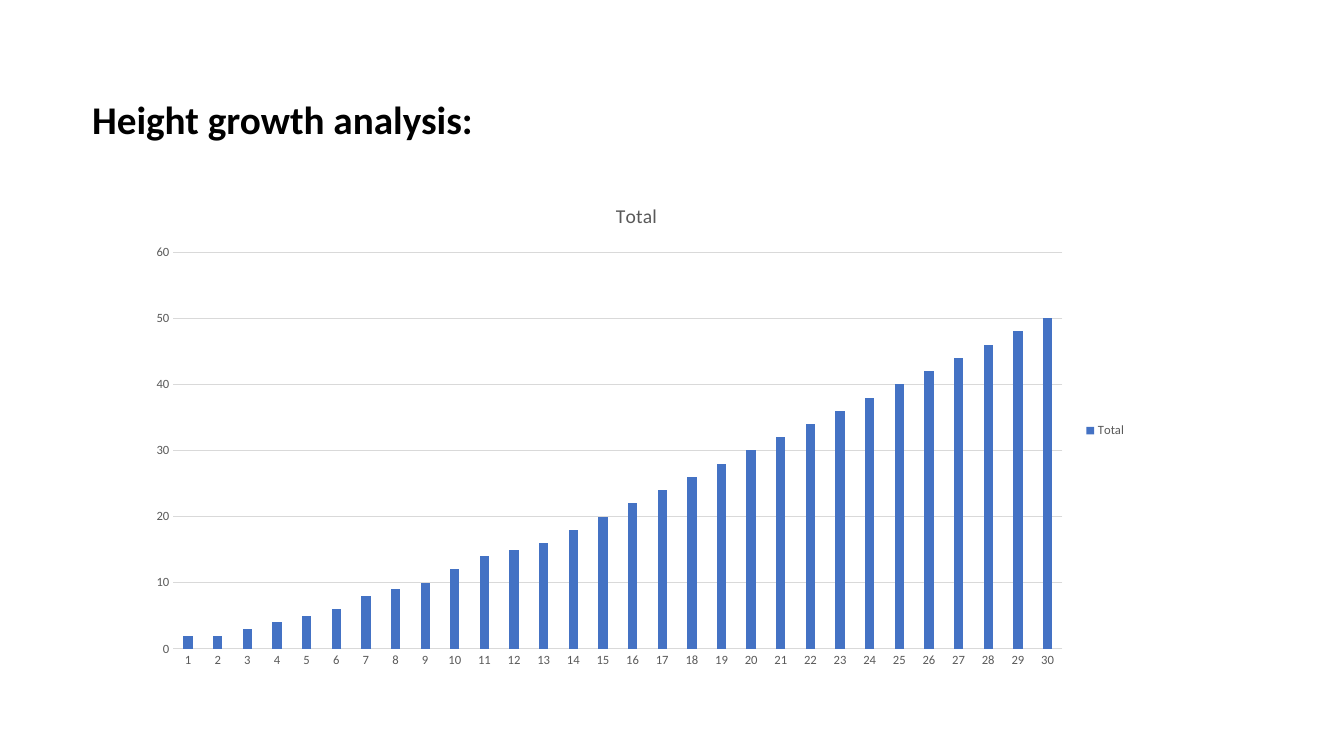
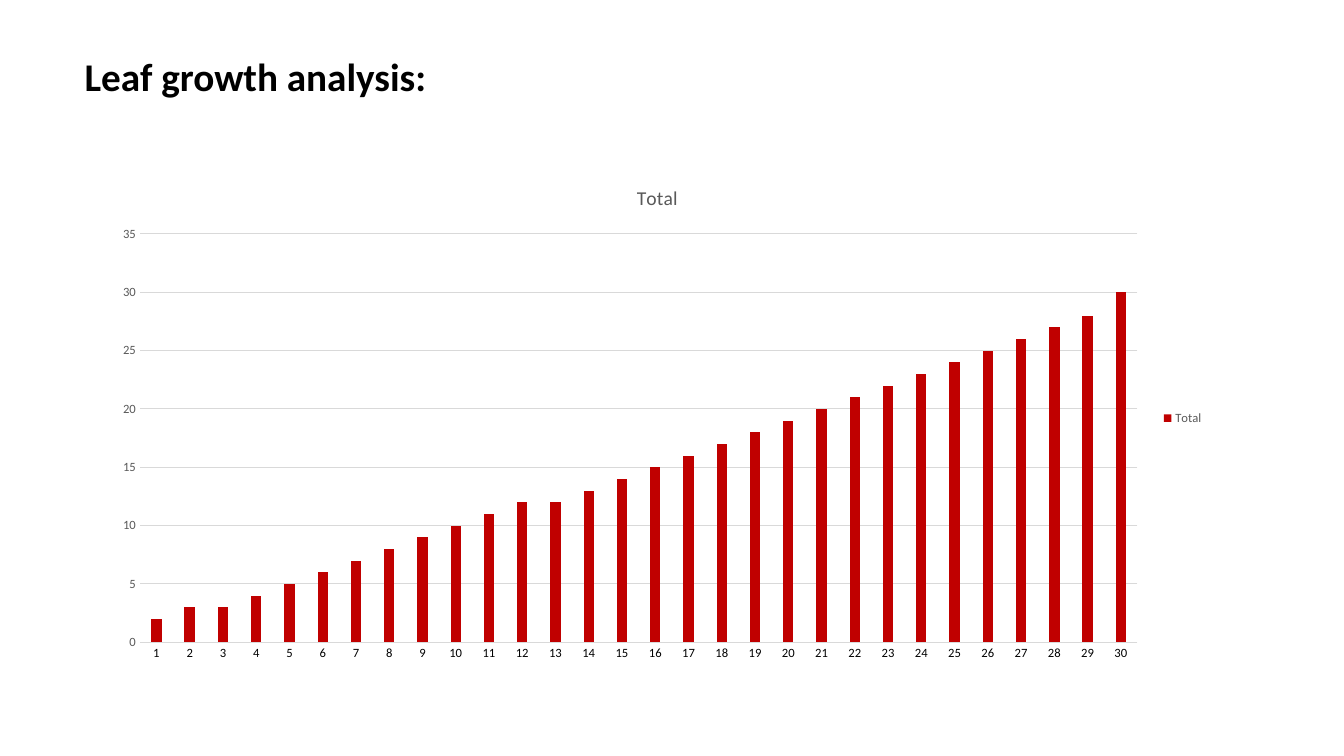
"""Build two slides that chart the daily growth of a plant."""
from dataclasses import dataclass

from pptx import Presentation
from pptx.chart.axis import _BaseAxis
from pptx.chart.chart import Chart
from pptx.chart.data import CategoryChartData
from pptx.dml.color import RGBColor
from pptx.enum.chart import XL_CHART_TYPE, XL_LEGEND_POSITION, XL_TICK_MARK
from pptx.enum.text import MSO_ANCHOR, MSO_AUTO_SIZE, PP_ALIGN
from pptx.slide import Slide
from pptx.text.text import Font
from pptx.util import Cm, Pt

COLUMNS = XL_CHART_TYPE.COLUMN_CLUSTERED
LEGEND_RIGHT = XL_LEGEND_POSITION.RIGHT
NO_TICKS = XL_TICK_MARK.NONE
ANCHOR_TOP = MSO_ANCHOR.TOP
GROW_SHAPE = MSO_AUTO_SIZE.SHAPE_TO_FIT_TEXT
ALIGN_LEFT = PP_ALIGN.LEFT
TITLE_ONLY = 5
SERIES_NAME = "Total"


@dataclass(frozen=True)
class Theme:
    """Colours, font and type sizes of the deck."""

    font: str = "Calibri"
    black: str = "000000"
    grey: str = "595959"
    rule: str = "D9D9D9"
    blue: str = "4472C4"
    red: str = "C00000"
    heading_size: float = 28
    chart_title_size: float = 14
    chart_size: float = 10
    label_size: float = 9
    rule_width: float = 0.75


@dataclass(frozen=True)
class Frame:
    """Position and size in centimetres."""

    left: float
    top: float
    width: float
    height: float

    def lengths(self) -> tuple[Cm, Cm, Cm, Cm]:
        """Return the frame as slide lengths."""
        return Cm(self.left), Cm(self.top), Cm(self.width), Cm(self.height)


@dataclass(frozen=True)
class GrowthSlide:
    """Content of one growth slide."""

    heading: str
    heading_frame: Frame
    chart_frame: Frame
    values: tuple[int, ...]
    axis_top: int
    axis_step: int
    bar_color: str
    day_color: str


THEME = Theme()
GROWTH_SLIDES = (
    GrowthSlide(
        heading="Height growth analysis:",
        heading_frame=Frame(2.07, 2.18, 16.94, 3.05),
        chart_frame=Frame(3.44, 4.63, 25.2, 12.44),
        values=(2, 2, 3, 4, 5, 6, 8, 9, 10, 12, 14, 15, 16, 18,
                *range(20, 51, 2)),
        axis_top=60,
        axis_step=10,
        bar_color=THEME.blue,
        day_color=THEME.grey,
    ),
    GrowthSlide(
        heading="Leaf growth analysis:",
        heading_frame=Frame(1.88, 1.12, 16.94, 3.05),
        chart_frame=Frame(2.54, 4.16, 28.05, 12.75),
        values=(2, 3, *range(3, 13), *range(12, 29), 30),
        axis_top=35,
        axis_step=5,
        bar_color=THEME.red,
        day_color=THEME.black,
    ),
)


def style_font(font: Font, size: float, color: str, bold: bool = False) -> None:
    """Apply the deck font with a size, colour and weight."""
    font.name = THEME.font
    font.size = Pt(size)
    font.bold = bold
    font.color.rgb = RGBColor.from_string(color)


def add_heading(slide: Slide, content: GrowthSlide) -> None:
    """Place and fill the title placeholder."""
    box = slide.shapes.title
    box.left, box.top, box.width, box.height = content.heading_frame.lengths()
    frame = box.text_frame
    frame.word_wrap = True
    frame.auto_size = GROW_SHAPE
    frame.vertical_anchor = ANCHOR_TOP
    para = frame.paragraphs[0]
    para.alignment = ALIGN_LEFT
    para.line_spacing = 1.07
    para.space_before = Pt(0)
    para.space_after = Pt(8)
    span = para.add_run()
    span.text = content.heading
    style_font(span.font, THEME.heading_size, THEME.black, bold=True)


def style_axis(axis: _BaseAxis, label_color: str) -> None:
    """Remove the tick marks and format the axis labels."""
    axis.major_tick_mark = NO_TICKS
    axis.minor_tick_mark = NO_TICKS
    style_font(axis.tick_labels.font, THEME.label_size, label_color)


def style_axes(chart: Chart, content: GrowthSlide) -> None:
    """Format the day axis, the value axis and its gridlines."""
    days, amounts = chart.category_axis, chart.value_axis
    style_axis(days, content.day_color)
    style_axis(amounts, THEME.grey)
    amounts.minimum_scale = 0
    amounts.maximum_scale = content.axis_top
    amounts.major_unit = content.axis_step
    amounts.format.line.fill.background()
    for line in (days.format.line, amounts.major_gridlines.format.line):
        line.color.rgb = RGBColor.from_string(THEME.rule)
        line.width = Pt(THEME.rule_width)


def add_growth_chart(slide: Slide, content: GrowthSlide) -> None:
    """Add the column chart with its title and legend."""
    data = CategoryChartData()
    data.categories = [str(day + 1) for day in range(len(content.values))]
    data.add_series(SERIES_NAME, content.values)
    chart = slide.shapes.add_chart(
        COLUMNS, *content.chart_frame.lengths(), data).chart
    style_font(chart.font, THEME.chart_size, THEME.black)

    chart.has_title = True
    span = chart.chart_title.text_frame.paragraphs[0].add_run()
    span.text = SERIES_NAME
    style_font(span.font, THEME.chart_title_size, THEME.grey)

    chart.has_legend = True
    chart.legend.position = LEGEND_RIGHT
    chart.legend.include_in_layout = False
    style_font(chart.legend.font, THEME.label_size, THEME.grey)

    plot = chart.plots[0]
    plot.vary_by_categories = False
    plot.gap_width = 219
    plot.overlap = -27
    fill = plot.series[0].format.fill
    fill.solid()
    fill.fore_color.rgb = RGBColor.from_string(content.bar_color)
    style_axes(chart, content)


def main() -> None:
    """Build and save the deck."""
    deck = Presentation()
    deck.slide_width, deck.slide_height = Cm(33.87), Cm(19.05)
    for content in GROWTH_SLIDES:
        slide = deck.slides.add_slide(deck.slide_layouts[TITLE_ONLY])
        add_heading(slide, content)
        add_growth_chart(slide, content)
    deck.save("out.pptx")


if __name__ == "__main__":
    main()
